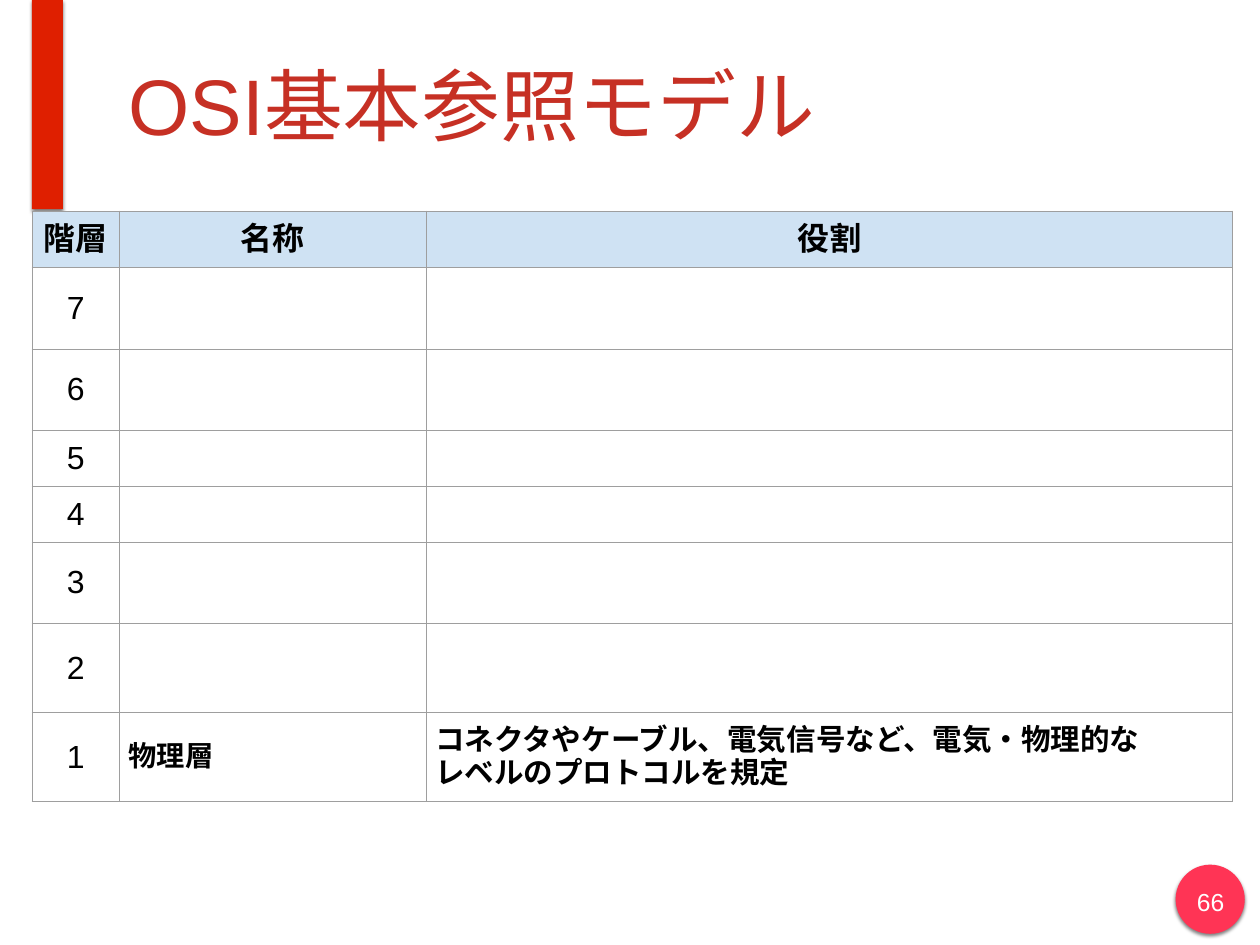
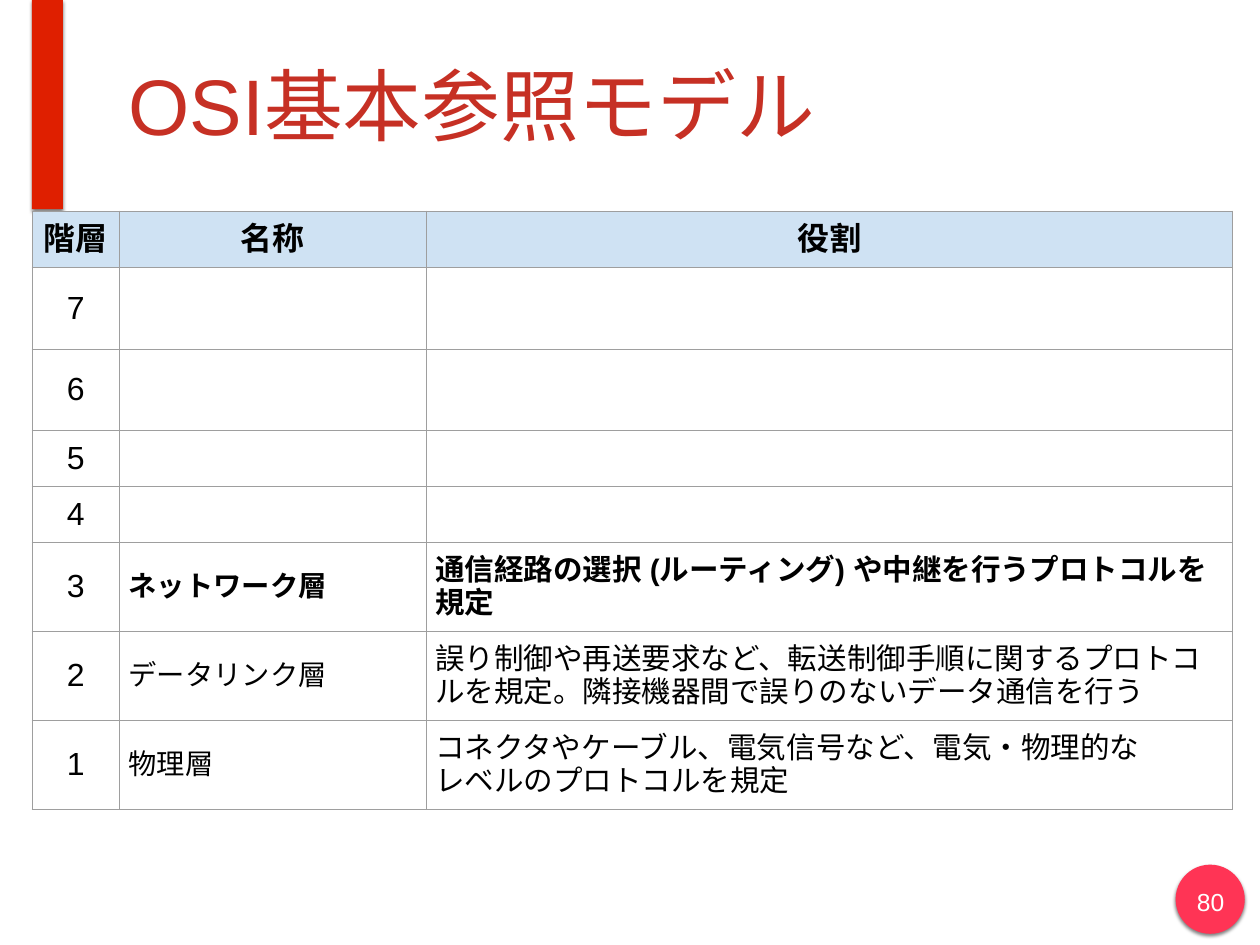
import lxml.etree
import pptx
import pptx.dml.color
import pptx.enum.shapes
import pptx.enum.text
import pptx.oxml.ns
import pptx.util

Pt = pptx.util.Pt
RGBColor = pptx.dml.color.RGBColor
Shape = pptx.enum.shapes.MSO_SHAPE
Align = pptx.enum.text.PP_ALIGN
Anchor = pptx.enum.text.MSO_ANCHOR
qn = pptx.oxml.ns.qn

BAR_RED = RGBColor(0xDF, 0x1F, 0x00)
BADGE_PINK = RGBColor(0xFF, 0x34, 0x55)
TITLE_RED = RGBColor(0xC6, 0x30, 0x24)
HEADER_BLUE = RGBColor(0xCF, 0xE2, 0xF3)
BORDER_GRAY = RGBColor(0x9E, 0x9E, 0x9E)
BLACK = RGBColor(0, 0, 0)
WHITE = RGBColor(0xFF, 0xFF, 0xFF)

FONT = "Arial"
TITLE = "OSI基本参照モデル"
HEADERS = ("階層", "名称", "役割")
COLUMN_WIDTHS = (71.3, 249.1, 655.2)
HEADER_HEIGHT = 45.4
LAYER_HEIGHTS = {7: 66.6, 6: 65.9, 5: 45.4, 4: 45.4, 3: 65.9, 2: 72.7, 1: 72}
TWO_LINE_HEIGHT = 72
COLUMN_SIZES = (26, 23, 24)

LAYERS = {
    1: ("物理層", "コネクタやケーブル、電気信号など、電気・物理的な\nレベルのプロトコルを規定"),
    2: ("データリンク層", "誤り制御や再送要求など、転送制御手順に関するプロトコルを規定。隣接機器間で誤りのないデータ通信を行う"),
    3: ("ネットワーク層", "通信経路の選択 (ルーティング) や中継を行うプロトコルを規定"),
}


def write(frame, text, size, color, align=Align.LEFT, bold=False):
    frame.text = text
    for paragraph in frame.paragraphs:
        paragraph.alignment = align
        for run in paragraph.runs:
            run.font.size = Pt(size)
            run.font.bold = bold
            run.font.name = FONT
            run.font.color.rgb = color
            properties = run._r.get_or_add_rPr()
            lxml.etree.SubElement(properties, qn("a:ea"), typeface=FONT)


def set_margins(box, margin):
    box.margin_left = box.margin_right = Pt(margin)
    box.margin_top = box.margin_bottom = Pt(margin)


def add_layout_shape(slide, kind, bounds, color):
    shape = slide.shapes.add_shape(kind, *map(Pt, bounds))
    shape.fill.solid()
    shape.fill.fore_color.rgb = color
    shape.line.fill.background()
    shape.shadow.inherit = False
    effects = shape.element.spPr.find(qn("a:effectLst"))
    shadow = lxml.etree.SubElement(
        effects, qn("a:outerShdw"), blurRad=str(Pt(3)), dist=str(Pt(2)),
        dir="5400000", rotWithShape="0")
    tint = lxml.etree.SubElement(shadow, qn("a:srgbClr"), val=str(BLACK))
    lxml.etree.SubElement(tint, qn("a:alpha"), val="50000")
    slide.slide_layout.shapes.element.append(shape.element)


def add_title(slide):
    title = slide.shapes.title
    title.left, title.top, title.width, title.height = map(Pt, (100, 8.6, 874, 152.6))
    frame = title.text_frame
    frame.auto_size = pptx.enum.text.MSO_AUTO_SIZE.NONE
    frame.vertical_anchor = Anchor.MIDDLE
    set_margins(frame, 4.5)
    write(frame, TITLE, 64, TITLE_RED)


def add_page_number(slide, number):
    frame = slide.shapes.add_textbox(*map(Pt, (966.2, 716.4, 35.3, 32.4))).text_frame
    frame.word_wrap = True
    set_margins(frame, 4.5)
    write(frame, str(number), 20, WHITE, Align.CENTER)


def add_borders(cell):
    properties = cell._tc.get_or_add_tcPr()
    for side in ("lnL", "lnR", "lnT", "lnB"):
        line = lxml.etree.SubElement(properties, qn(f"a:{side}"), w=str(Pt(0.75)))
        fill = lxml.etree.SubElement(line, qn("a:solidFill"))
        lxml.etree.SubElement(fill, qn("a:srgbClr"), val=str(BORDER_GRAY))


def fill_cell(cell, text, size, align, bold, header):
    set_margins(cell, 7.2)
    cell.vertical_anchor = Anchor.MIDDLE
    add_borders(cell)
    if header:
        cell.fill.solid()
        cell.fill.fore_color.rgb = HEADER_BLUE
    else:
        cell.fill.background()
    if text:
        write(cell.text_frame, text, size, BLACK, align, bold)


def add_layer_table(slide, current):
    heights = [HEADER_HEIGHT]
    for layer, height in LAYER_HEIGHTS.items():
        heights.append(max(height, TWO_LINE_HEIGHT) if layer <= current else height)
    table = slide.shapes.add_table(
        len(heights), len(HEADERS), Pt(26), Pt(171.4),
        Pt(sum(COLUMN_WIDTHS)), Pt(sum(heights))).table
    table.first_row = table.horz_banding = False
    for column, width in zip(table.columns, COLUMN_WIDTHS):
        column.width = Pt(width)
    for row, height in zip(table.rows, heights):
        row.height = Pt(height)
    for column, header in enumerate(HEADERS):
        fill_cell(table.cell(0, column), header, 26, Align.CENTER, True, True)
    for row, layer in enumerate(LAYER_HEIGHTS, 1):
        name, role = LAYERS[layer] if layer <= current else ("", "")
        for column, text in enumerate((str(layer), name, role)):
            align = Align.LEFT if column else Align.CENTER
            bold = column > 0 and layer == current
            fill_cell(table.cell(row, column), text, COLUMN_SIZES[column], align, bold, False)


def main():
    deck = pptx.Presentation()
    deck.slide_width, deck.slide_height = Pt(1024), Pt(768)
    layout = deck.slide_layouts[5]
    for number, current in ((66, 1), (80, 3)):
        slide = deck.slides.add_slide(layout)
        add_title(slide)
        add_page_number(slide, number)
        add_layer_table(slide, current)
    add_layout_shape(slide, Shape.OVAL, (955.4, 702.7, 56.2, 56.2), BADGE_PINK)
    add_layout_shape(slide, Shape.RECTANGLE, (26, 0, 25.2, 170), BAR_RED)
    deck.save("out.pptx")


if __name__ == "__main__":
    main()
